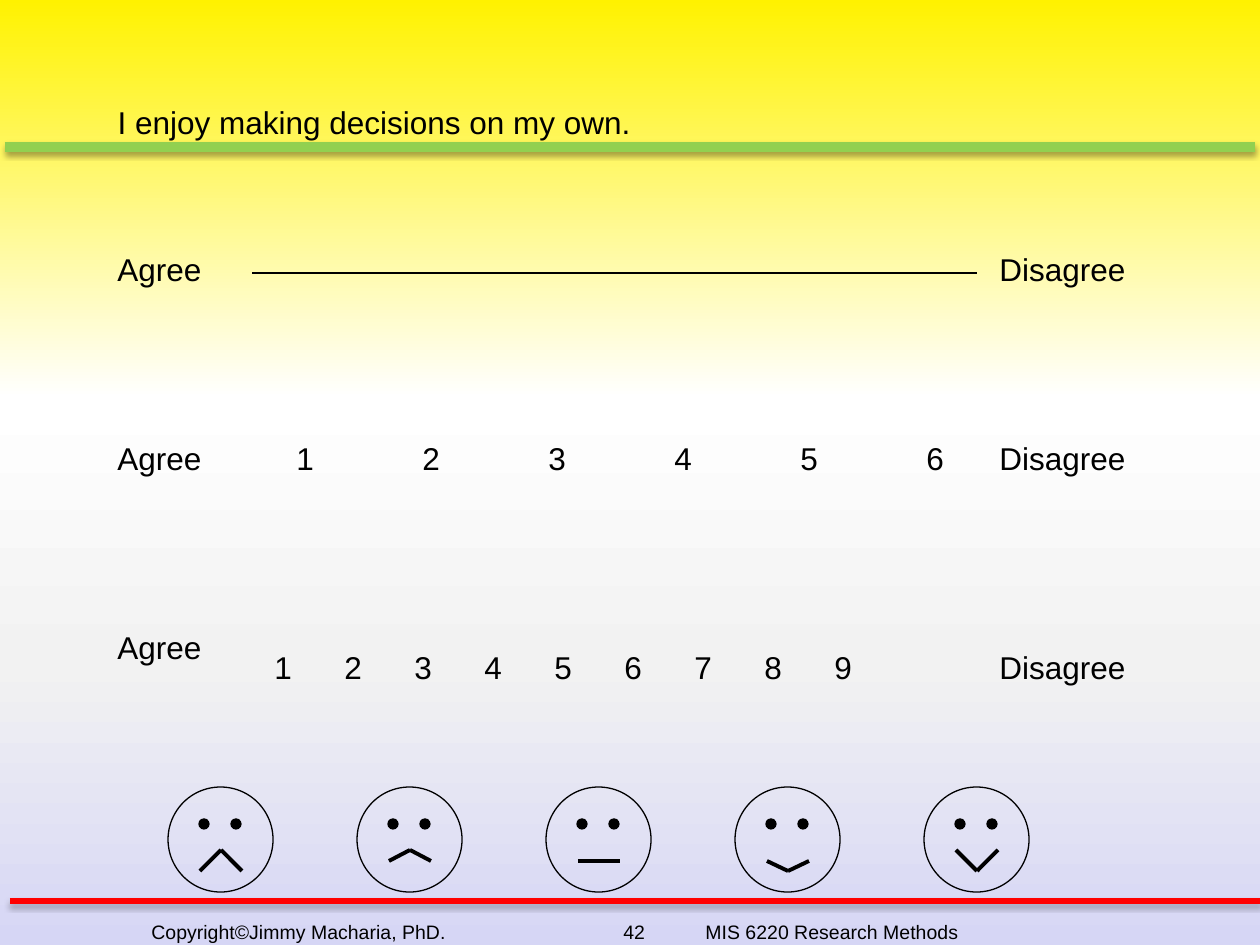
from lxml.etree import SubElement
from pptx import Presentation
from pptx.dml.color import RGBColor
from pptx.enum.shapes import MSO_CONNECTOR, MSO_SHAPE
from pptx.enum.text import MSO_ANCHOR, MSO_AUTO_SIZE, PP_ALIGN
from pptx.oxml.ns import qn
from pptx.util import Emu, Pt

PX_PER_INCH = 126
COLOURS = {
    "ink": "000000",
    "green": "92D050",
    "red": "FF0000",
    "yellow": "FFF200",
    "white": "FFFFFF",
    "grey": "F2F2F2",
    "lilac": "D6D6F5",
}
BACKGROUND = [(0, "yellow"), (42, "white"), (70, "grey"), (100, "lilac")]
FRAME_FORMAT = {
    "word_wrap": True,
    "auto_size": MSO_AUTO_SIZE.NONE,
    "vertical_anchor": MSO_ANCHOR.TOP,
}
LABELS = [
    ("Agree", 105, 242, 129),
    ("Disagree", 987, 242, 175),
    ("Agree", 105, 431, 129),
    ("Disagree", 987, 431, 175),
    ("Agree", 105, 620, 129),
    ("Disagree", 987, 640, 175),
]
NUMBER_ROWS = [(6, 284, 431, 677, 126), (9, 262, 640, 718, 70)]
MOUTHS = [(84, 63), (74, 63), (74, 74), (74, 84), (63, 84)]
FACE_LEFT, FACE_TOP, FACE_SIZE, FACE_STEP = 168, 787, 105, 189


def px(length):
    return Emu(round(length * 914400 / PX_PER_INCH))


def colour(name):
    return RGBColor.from_string(COLOURS[name])


def set_values(target, values):
    for name, value in values.items():
        setattr(target, name, value)


def paint_background(page):
    fill = page.background.fill
    fill.gradient()
    fill.gradient_angle = 270
    stops = page.background._cSld.find(".//" + qn("a:gsLst"))
    for stop in list(stops):
        stops.remove(stop)
    for position, name in BACKGROUND:
        stop = SubElement(stops, qn("a:gs"), pos=str(position * 1000))
        SubElement(stop, qn("a:srgbClr"), val=COLOURS[name])


def add_line(page, start, end, width, name="ink", shadow=False):
    line = page.shapes.add_connector(
        MSO_CONNECTOR.STRAIGHT, *map(px, start + end)
    )
    line.line.width = Pt(width)
    line.line.color.rgb = colour(name)
    effects = SubElement(line._element.spPr, qn("a:effectLst"))
    if shadow:
        outer = SubElement(
            effects, qn("a:outerShdw"), blurRad=str(Pt(3.1)),
            dist=str(Pt(1.8)), dir="5400000", rotWithShape="0",
        )
        tint = SubElement(outer, qn("a:srgbClr"), val=COLOURS["ink"])
        SubElement(tint, qn("a:alpha"), val="35000")


def format_text(box, text, size=18, tabs=()):
    frame = box.text_frame
    set_values(frame, FRAME_FORMAT)
    frame.margin_top = px(8)
    para = frame.paragraphs[0]
    para.text = text
    para.alignment = PP_ALIGN.LEFT
    if tabs:
        stops = SubElement(para._p.get_or_add_pPr(), qn("a:tabLst"))
        for tab in tabs:
            SubElement(stops, qn("a:tab"), pos=str(px(tab)), algn="l")
    for span in para.runs:
        set_values(span.font, {"name": "Arial", "size": Pt(size)})
        span.font.color.rgb = colour("ink")


def add_text(page, text, left, top, width, height=63, size=18, tabs=()):
    box = page.shapes.add_textbox(*map(px, (left, top, width, height)))
    format_text(box, text, size, tabs)


def add_title(page, text, left, top, width, height):
    title = page.shapes.title
    places = map(px, (left, top, width, height))
    set_values(title, dict(zip(("left", "top", "width", "height"), places)))
    format_text(title, text)


def add_number_row(page, count, left, top, width, step):
    text = "\t".join(str(number) for number in range(1, count + 1))
    tabs = [step * index for index in range(1, count)]
    add_text(page, text, left, top, width, tabs=tabs)


def add_circle(page, left, top, size, filled=False):
    circle = page.shapes.add_shape(
        MSO_SHAPE.OVAL, *map(px, (left, top, size, size))
    )
    circle.shadow.inherit = False
    circle.line.width = Pt(0.75)
    circle.line.color.rgb = colour("ink")
    if filled:
        circle.fill.solid()
        circle.fill.fore_color.rgb = colour("ink")
    else:
        circle.fill.background()


def add_face(page, left, top, corner, middle):
    add_circle(page, left, top, FACE_SIZE)
    for eye in (31, 63):
        add_circle(page, left + eye, top + 32, 10, filled=True)
    first, centre, last = (
        (left + across, top + down)
        for across, down in ((32, corner), (53, middle), (74, corner))
    )
    if corner == middle:
        add_line(page, first, last, 2.25)
    else:
        add_line(page, first, centre, 2.25)
        add_line(page, centre, last, 2.25)


def main():
    deck = Presentation()
    deck.slide_width, deck.slide_height = px(1260), px(945)
    page = deck.slides.add_slide(deck.slide_layouts[5])
    paint_background(page)
    add_line(page, (5, 147), (1255, 147), 6, "green", shadow=True)
    add_line(page, (10, 901), (1260, 901), 3, "red", shadow=True)
    footer = "Copyright©Jimmy Macharia, PhD.\t42\tMIS 6220 Research Methods"
    add_text(page, footer, 139, 912, 1121, 36, 11.1, (472, 554))
    add_title(page, "I enjoy making decisions on my own.", 105, 95, 656, 63)
    add_line(page, (252, 273), (977, 273), 0.75)
    for label in LABELS:
        add_text(page, *label)
    for row in NUMBER_ROWS:
        add_number_row(page, *row)
    for index, mouth in enumerate(MOUTHS):
        add_face(page, FACE_LEFT + index * FACE_STEP, FACE_TOP, *mouth)
    deck.save("out.pptx")


if __name__ == "__main__":
    main()
